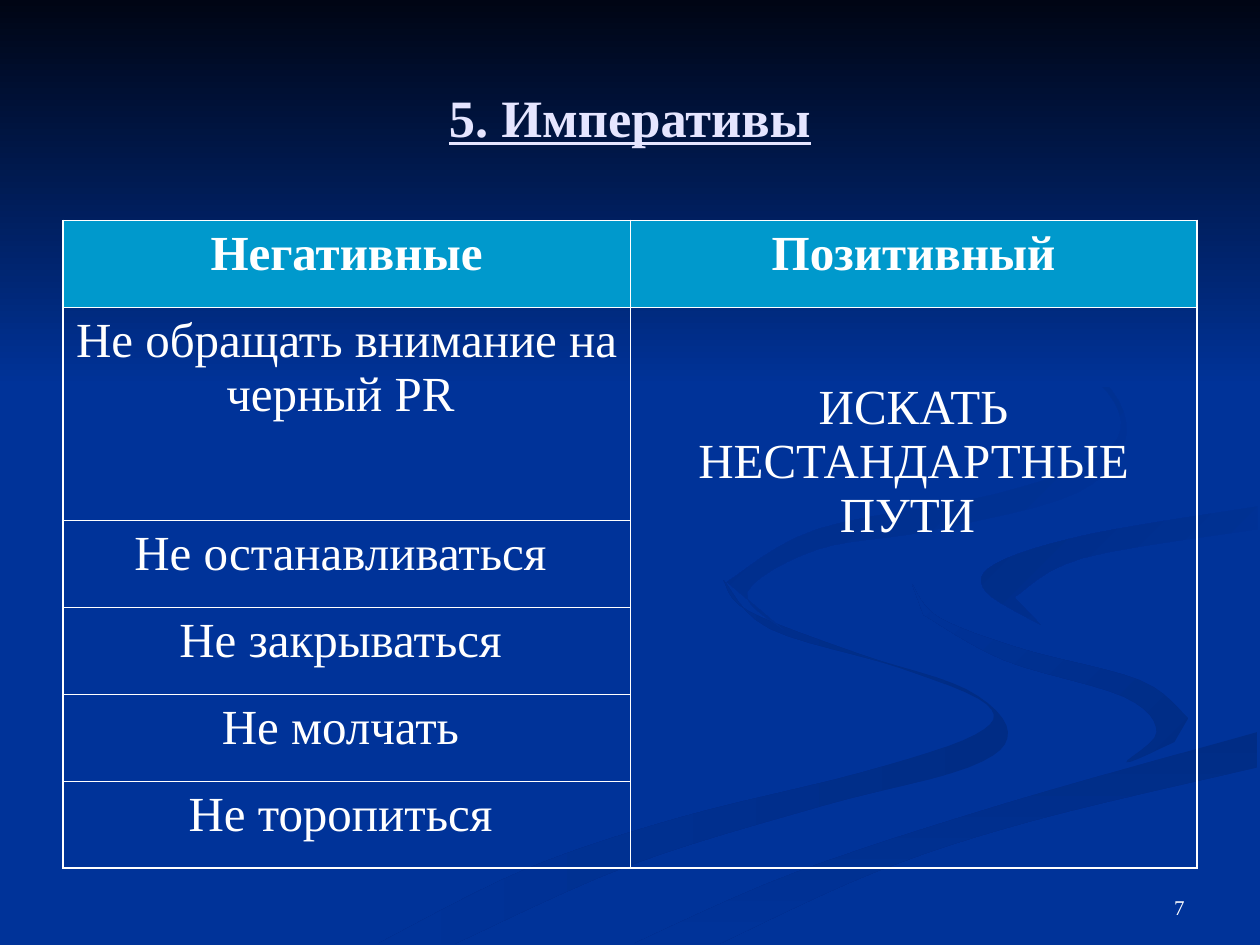
from lxml import etree
from pptx import Presentation, util as u
from pptx.dml.color import RGBColor
from pptx.enum import shapes, text
from pptx.oxml.ns import qn

TITLE = "5. Императивы"
HEADINGS = ("Негативные", "Позитивный")
NEGATIVE = ("Не обращать внимание на черный PR ", "Не останавливаться ",
            "Не закрываться ", "Не молчать ", "Не торопиться ")
POSITIVE = "ИСКАТЬ НЕСТАНДАРТНЫЕ ПУТИ "
PAGE = "7"

THEME = {
    "font": "Times New Roman", "ground": "003399", "night": "000514",
    "shade": "002C85", "title": "E5E5FF", "text": "FFFFFF",
    "heading": "0099CC", "border": "FFFFFF",
    "title_size": 30, "table_size": 28, "page_size": 12,
    "outer_line": 1.08, "inner_line": 0.45,
}
WIDTH, HEIGHT = 10, 7.5
MARGIN = 0.05 * WIDTH
TABLE_TOP, BASE_ROW, TALL_ROW = 1.75, 0.69, 1.69
LINE_DROP = 0.58
CURVE_STEPS = 6

# Gradient colours, clockwise angle, and the knots of both edges in inches
RIBBONS = [
    (("shade", "ground"), 180,
     [(5.74, 4.6), (6.11, 4.99), (7.14, 5.3), (7.83, 5.59), (7.74, 5.83),
      (6.84, 6.13), (5.39, 6.49), (4.17, 6.9), (3, 7.49)],
     [(3.61, 7.49), (4.99, 6.87), (6.51, 6.4), (7.69, 6.09), (8, 5.81),
      (7.67, 5.47), (6.82, 5.19), (5.94, 4.85), (5.74, 4.6)]),
    (("shade", "ground"), 225,
     [(9.43, 5.7), (9.05, 5.4), (8.11, 5.15), (7.45, 4.9), (7.24, 4.64)],
     [(7.33, 4.88), (7.97, 5.24), (8.92, 5.53), (9.18, 5.81), (8.94, 6.05),
      (9.32, 5.89)]),
    (("shade", "ground"), 90,
     [(5.71, 7.49), (6.95, 6.92), (8.21, 6.51), (9.98, 6.09)],
     [(9.98, 5.81), (7.97, 6.38), (6.3, 6.93), (5.03, 7.49)]),
    (("ground", "shade"), 225,
     [(9.98, 4.02), (8.65, 4.24), (7.91, 4.47), (7.82, 4.69), (8.26, 4.96)],
     [(8.05, 4.74), (8.59, 4.43), (9.98, 4.2)]),
    (("ground", "shade"), 225,
     [(7.62, 2.33), (8.64, 2.91), (8.94, 3.44), (8.55, 3.91), (7.39, 4.21),
      (6.49, 4.36), (5.93, 4.7), (6.22, 5)],
     [(5.77, 4.62), (6.49, 4.2), (7.91, 3.92), (8.76, 3.6), (8.85, 3.2),
      (8.26, 2.66), (7.62, 2.33)]),
]


def rgb(code):
    return RGBColor.from_string(code)


def smooth(knots):
    """Points of a Catmull-Rom curve through the knots."""
    padded = [knots[0], *knots, knots[-1]]
    points = [knots[0]]
    for a, b, c, d in zip(padded, padded[1:], padded[2:], padded[3:]):
        for step in range(1, CURVE_STEPS + 1):
            t = step / CURVE_STEPS
            points.append(tuple(
                (2 * q + (r - p) * t + (2 * p - 5 * q + 4 * r - s) * t ** 2
                 + (3 * q - p - 3 * r + s) * t ** 3) / 2
                for p, q, r, s in zip(a, b, c, d)))
    return points


def fill_gradient(shape, colours, angle):
    shape.shadow.inherit = False
    shape.line.fill.background()
    shape.fill.gradient()
    shape.fill.gradient_angle = 360 - angle
    for stop, colour in zip(shape.fill.gradient_stops, colours):
        stop.color.rgb = rgb(THEME[colour])


def add_backdrop(slide):
    slide.background.fill.solid()
    slide.background.fill.fore_color.rgb = rgb(THEME["ground"])
    for colours, angle, *edges in RIBBONS:
        outline = [tuple(map(u.Inches, point))
                   for edge in edges for point in smooth(edge)]
        builder = slide.shapes.build_freeform(*outline[0])
        builder.add_line_segments(outline[1:], close=True)
        fill_gradient(builder.convert_to_shape(), colours, angle)
    sky = slide.shapes.add_shape(shapes.MSO_SHAPE.RECTANGLE, 0, 0,
                                 u.Inches(WIDTH), u.Inches(0.41 * HEIGHT))
    fill_gradient(sky, ("night", "ground"), 90)


def write(frame, words, size, colour, align, bold=False, underline=False):
    frame.word_wrap = True
    paragraph = frame.paragraphs[0]
    paragraph.text = words
    paragraph.alignment = align
    font = paragraph.font
    font.name, font.size, font.bold = THEME["font"], u.Pt(THEME[size]), bold
    font.underline = underline
    font.color.rgb = rgb(THEME[colour])


def add_label(slide, box, anchor, *style, **emphasis):
    frame = slide.shapes.add_textbox(*map(u.Inches, box)).text_frame
    write(frame, *style, **emphasis)
    frame.vertical_anchor = anchor


def set_borders(cell, outer_edges):
    properties = cell._tc.get_or_add_tcPr()
    for edge in "LRTB":
        weight = THEME["outer_line" if edge in outer_edges else "inner_line"]
        line = etree.SubElement(properties, qn(f"a:ln{edge}"), w=str(u.Pt(weight)))
        fill = etree.SubElement(line, qn("a:solidFill"))
        etree.SubElement(fill, qn("a:srgbClr"), val=THEME["border"])


def add_imperatives(slide):
    rows, columns = len(NEGATIVE) + 1, len(HEADINGS)
    heights = [TALL_ROW if r == 1 else BASE_ROW for r in range(rows)]
    table = slide.shapes.add_table(
        rows, columns, u.Inches(MARGIN), u.Inches(TABLE_TOP),
        u.Inches(WIDTH - 2 * MARGIN), u.Inches(sum(heights))).table
    table.first_row = table.horz_banding = False
    for row, height in zip(table.rows, heights):
        row.height = u.Inches(height)
    positive = table.cell(1, 1)
    positive.merge(table.cell(rows - 1, 1))

    for r in range(rows):
        for c in range(columns):
            cell = table.cell(r, c)
            last = r == rows - 1 or cell.is_merge_origin
            set_borders(cell, ("L" if c == 0 else "R") + "T" * (r == 0) + "B" * last)
            if r == 0:
                cell.fill.solid()
                cell.fill.fore_color.rgb = rgb(THEME["heading"])
            else:
                cell.fill.background()
            if not cell.is_spanned:
                words = HEADINGS[c] if r == 0 else (NEGATIVE[r - 1], POSITIVE)[c]
                write(cell.text_frame, words, "table_size", "text",
                      text.PP_ALIGN.CENTER, bold=r == 0)
                cell.text_frame.paragraphs[0].space_before = u.Pt(7)
    positive.margin_top = u.Inches(LINE_DROP)


def main():
    deck = Presentation()
    deck.slide_width, deck.slide_height = u.Inches(WIDTH), u.Inches(HEIGHT)
    slide = deck.slides.add_slide(deck.slide_layouts[6])
    add_backdrop(slide)
    add_label(slide, (MARGIN, 0.3, WIDTH - 2 * MARGIN, 1.25), text.MSO_ANCHOR.MIDDLE,
              TITLE, "title_size", "title", text.PP_ALIGN.CENTER,
              bold=True, underline=True)
    add_imperatives(slide)
    add_label(slide, (7.17, 6.83, 2.33, 0.52), text.MSO_ANCHOR.BOTTOM,
              PAGE, "page_size", "text", text.PP_ALIGN.RIGHT)
    deck.save("out.pptx")


if __name__ == "__main__":
    main()
